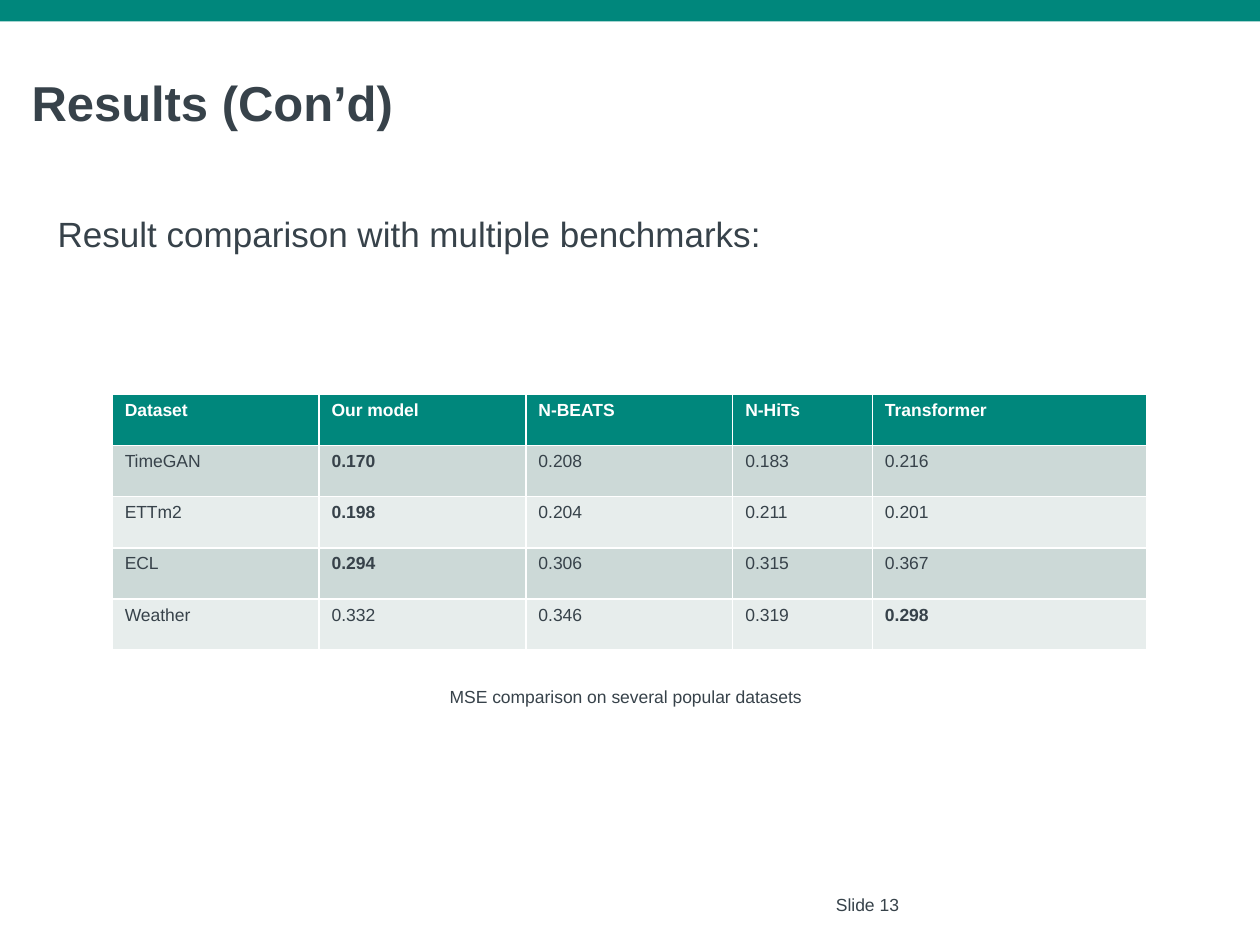
from pptx import Presentation
from pptx.dml.color import RGBColor
from pptx.enum.shapes import MSO_SHAPE
from pptx.enum.text import MSO_ANCHOR, MSO_AUTO_SIZE, PP_ALIGN
from pptx.util import Inches, Pt

TEAL = RGBColor(0x00, 0x87, 0x7C)
INK = RGBColor(0x37, 0x42, 0x4A)
WHITE = RGBColor(0xFF, 0xFF, 0xFF)
DARK = RGBColor(0xCC, 0xD9, 0xD7)
PALE = RGBColor(0xE7, 0xED, 0xEC)

HEADS = ["Dataset", "Our model", "N-BEATS", "N-HiTs", "Transformer"]
SCORES = {
    "TimeGAN": [0.170, 0.208, 0.183, 0.216],
    "ETTm2": [0.198, 0.204, 0.211, 0.201],
    "ECL": [0.294, 0.306, 0.315, 0.367],
    "Weather": [0.332, 0.346, 0.319, 0.298],
}
SHARES = [0.2, 0.2, 0.2, 0.135, 0.265]


def scale(*box):
    return [Inches(side) for side in box]


def style(item, looks):
    for name, value in looks.items():
        setattr(item, name, value)


def paint(item, color):
    item.fill.solid()
    item.fill.fore_color.rgb = color


def write(frame, text, size=10, color=INK, bold=False, align=PP_ALIGN.LEFT):
    line = frame.paragraphs[0]
    line.alignment = align
    run = line.add_run()
    run.text = text
    style(run.font, {"name": "Arial", "size": Pt(size), "bold": bold})
    run.font.color.rgb = color


def add_bar(slide, box):
    bar = slide.shapes.add_shape(MSO_SHAPE.RECTANGLE, *scale(*box))
    bar.shadow.inherit = False
    paint(bar, TEAL)
    bar.line.fill.background()


def add_title(slide, box, text):
    title = slide.shapes.title
    style(title, dict(zip(("left", "top", "width", "height"), scale(*box))))
    style(title.text_frame, {"word_wrap": False,
                             "auto_size": MSO_AUTO_SIZE.NONE,
                             "vertical_anchor": MSO_ANCHOR.MIDDLE})
    write(title.text_frame, text, 28, bold=True)


def add_note(slide, box, text, wrap=True, **looks):
    frame = slide.shapes.add_textbox(*scale(*box)).text_frame
    style(frame, {"word_wrap": wrap, "vertical_anchor": MSO_ANCHOR.MIDDLE})
    write(frame, text, **looks)


def fill_row(row, texts, back, color, strong):
    for col, (cell, text) in enumerate(zip(row.cells, texts)):
        paint(cell, back)
        write(cell.text_frame, text, color=color, bold=col in strong)


def add_grid(slide, box):
    count = len(SCORES) + 1
    table = slide.shapes.add_table(count, len(HEADS), *scale(*box)).table
    for col, share in zip(table.columns, SHARES):
        col.width = Inches(box[2] * share)
    for row in table.rows:
        row.height = Inches(box[3] / count)
    fill_row(table.rows[0], HEADS, TEAL, WHITE, range(len(HEADS)))
    for num, (name, marks) in enumerate(SCORES.items(), 1):
        texts = [name] + [f"{mark:.3f}" for mark in marks]
        best = marks.index(min(marks)) + 1
        fill_row(table.rows[num], texts, DARK if num % 2 else PALE, INK, [best])


def main():
    deck = Presentation()
    deck.slide_width, deck.slide_height = scale(10, 7.5)
    slide = deck.slides.add_slide(deck.slide_layouts[5])
    add_bar(slide, (0, 0, 10, 0.17))
    add_note(slide, (5.72, 7.05, 2.33, 0.25), "Slide 13", align=PP_ALIGN.CENTER)
    add_title(slide, (0.15, 0.52, 3.11, 0.57), "Results (Con’d)")
    add_note(slide, (0.36, 1.63, 9.17, 0.44),
             "Result comparison with multiple benchmarks:", size=20)
    add_grid(slide, (0.89, 3.13, 8.21, 2.03))
    add_note(slide, (3.47, 5.39, 3.05, 0.27),
             "MSE comparison on several popular datasets", wrap=False)
    deck.save("out.pptx")


if __name__ == "__main__":
    main()
